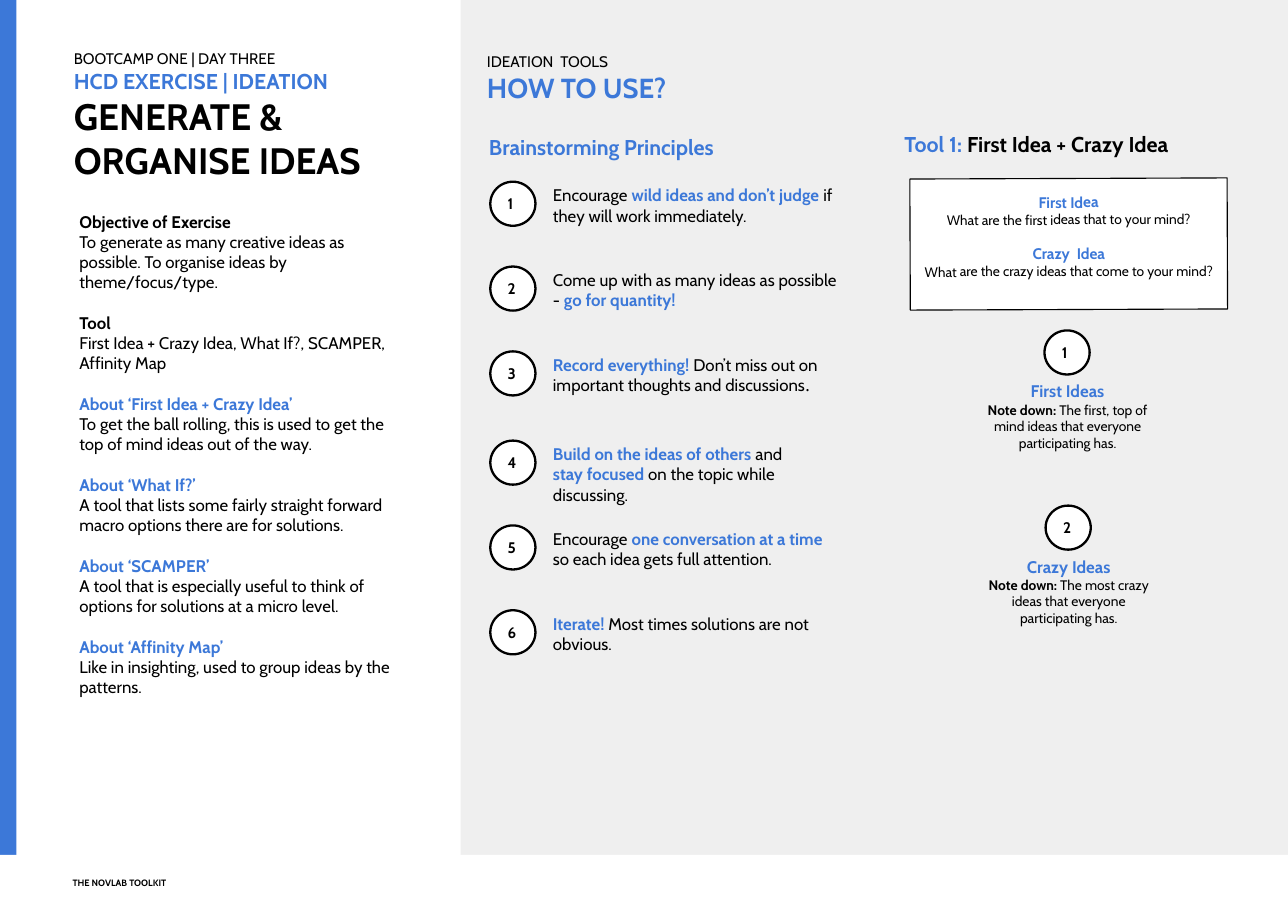
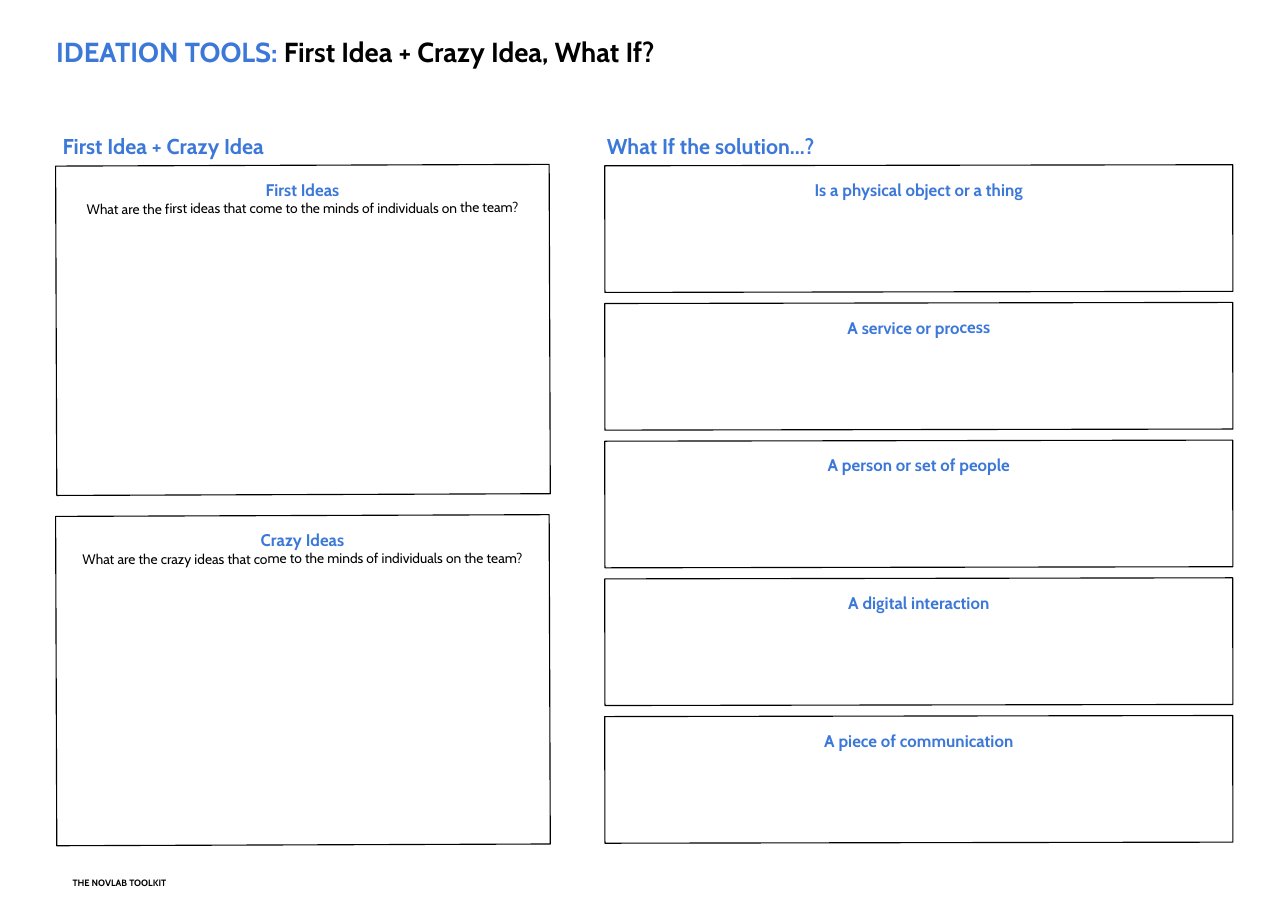
from pptx import Presentation
from pptx.dml.color import RGBColor
from pptx.enum.shapes import MSO_SHAPE
from pptx.enum.text import MSO_ANCHOR, MSO_AUTO_SIZE, PP_ALIGN
from pptx.util import Inches, Pt
from lxml import etree

RECT, OVAL = MSO_SHAPE.RECTANGLE, MSO_SHAPE.OVAL
TOP, MID, LOW = MSO_ANCHOR.TOP, MSO_ANCHOR.MIDDLE, MSO_ANCHOR.BOTTOM
LEFT, MIDDLE = PP_ALIGN.LEFT, PP_ALIGN.CENTER
FIXED = MSO_AUTO_SIZE.NONE

BLUE = RGBColor(0x3C, 0x78, 0xD8)
BLACK = RGBColor(0, 0, 0)
WHITE = RGBColor(255, 255, 255)
GREY = RGBColor(0xEF, 0xEF, 0xEF)
FONT = "Cabin"

# Grid: every place is left, top, width, height in cells of a tenth of an inch
CELL = Inches(0.1)
WIDE, HIGH = 116.9, 82.7

# Run styles; a gap is the space above the paragraph that the run opens
KEY = dict(color=BLUE, bold=True)
BOLD = dict(bold=True)
NOTE = dict(size=9)


def write(shape, paras, size=11, color=BLACK, bold=False, align=LEFT,
          anchor=TOP, inset=1.0, lead=1.0):
    """Fill a shape; a paragraph is a string or a list of strings and (text, style)."""
    frame = shape.text_frame
    frame.word_wrap, frame.auto_size = True, FIXED
    frame.vertical_anchor = anchor
    frame.margin_left = frame.margin_right = int(inset * CELL)
    frame.margin_top = frame.margin_bottom = int(inset * CELL)
    for i, para in enumerate(paras):
        line = frame.add_paragraph() if i else frame.paragraphs[0]
        line.alignment, line.line_spacing = align, lead
        line.space_before = line.space_after = Pt(0)
        for part in [para] if isinstance(para, str) else para:
            text, style = (part, {}) if isinstance(part, str) else part
            run = line.add_run()
            run.text = text
            run.font.name = style.get("font", FONT)
            run.font.size = Pt(style.get("size", size))
            run.font.bold = style.get("bold", bold)
            run.font.color.rgb = style.get("color", color)
            if "gap" in style:
                line.space_before = Pt(style["gap"])
    return shape


def draw(slide, place, kind=None, fill=None, line=None, turn=0):
    """Add a text box, or a preset shape when a kind is given."""
    box = [int(n * CELL) for n in place]
    if kind is None:
        return slide.shapes.add_textbox(*box)
    shape = slide.shapes.add_shape(kind, *box)
    shape.shadow.inherit = False
    shape.rotation = turn
    if fill is None:
        shape.fill.background()
    else:
        shape.fill.solid()
        shape.fill.fore_color.rgb = fill
    if line is None:
        shape.line.fill.background()
    else:
        shape.line.color.rgb = BLACK
        shape.line.width = Pt(line)
    return shape


deck = Presentation()
deck.slide_width, deck.slide_height = int(WIDE * CELL), int(HIGH * CELL)
guide = deck.slides.add_slide(deck.slide_layouts[1])
sheet = deck.slides.add_slide(deck.slide_layouts[5])
head, body = guide.placeholders
title = sheet.shapes.title

# Placeholders take their places on the grid
for holder, place in ((head, (5.4, 5.7, 31.2, 12.1)),
                      (body, (5.9, 17.9, 31.2, 50.7)),
                      (title, (3.8, 3.2, 92.9, 4.3))):
    (holder.left, holder.top,
     holder.width, holder.height) = [int(n * CELL) for n in place]

# Guide: background and left column
draw(guide, (41.8, 0, WIDE - 41.8, HIGH), RECT, GREY)
draw(guide, (0, 0, 1.5, HIGH), RECT, BLUE)
draw(guide, (0, 77.6, WIDE, 5.1), RECT, WHITE)
write(head, [[("BOOTCAMP ONE | DAY THREE", dict(size=10, bold=False))],
             [("HCD EXERCISE | IDEATION", dict(size=14, color=BLUE))],
             "GENERATE & ORGANISE IDEAS"],
      size=24, bold=True, anchor=LOW, inset=1.3)

topics = [
    ("Objective of Exercise", BLACK,
     "To generate as many creative ideas as possible. "
     "To organise ideas by theme/focus/type."),
    ("Tool", BLACK, "First Idea + Crazy Idea, What If?, SCAMPER, Affinity Map"),
    ("About ‘First Idea + Crazy Idea’", BLUE,
     "To get the ball rolling, this is used to get the "
     "top of mind ideas out of the way."),
    ("About ‘What If?’", BLUE,
     "A tool that lists some fairly straight forward "
     "macro options there are for solutions."),
    ("About ‘SCAMPER’", BLUE,
     "A tool that is especially useful to think of "
     "options for solutions at a micro level."),
    ("About ‘Affinity Map’", BLUE,
     "Like in insighting, used to group ideas by the patterns."),
]
paras = []
for i, (name, color, text) in enumerate(topics):
    gap = 13.3 if i else 0
    paras += [[(name, dict(color=color, bold=True, gap=gap))], text]
write(body, paras, inset=1.3)
for line in body.text_frame.paragraphs:
    props = line._p.get_or_add_pPr()
    props.set("marL", "0")
    props.set("indent", "0")
    etree.SubElement(
        props, "{http://schemas.openxmlformats.org/drawingml/2006/main}buNone")

# Guide: headings of the grey panel
write(draw(guide, (42.9, 3, 55.2, 7.7)),
      ["IDEATION  TOOLS", [("HOW TO USE?", dict(KEY, size=18))]],
      size=10, anchor=LOW, inset=1.3)
write(draw(guide, (43.4, 11.2, 31.4, 4.1)), ["Brainstorming Principles"],
      size=14, **KEY)
write(draw(guide, (81.1, 10.9, 31.4, 4.1)),
      [[("Tool 1:", KEY), " First Idea + Crazy Idea"]], size=14, bold=True)

# Guide: six principles, the lower three set a little apart
rules = [
    [["Encourage ", ("wild ideas and don’t judge", KEY),
      " if they will work immediately."]],
    [["Come up with as many ideas as possible - ", ("go for quantity!", KEY)]],
    [[("Record everything! ", KEY),
      "Don’t miss out on important thoughts and discussions",
      (".", dict(font="Noto Sans"))]],
    [[("Build on the ideas of others", KEY), " and"],
     [("stay focused", KEY), " on the topic while discussing."]],
    [["Encourage ", ("one conversation at a time", KEY),
      " so each idea gets full attention."]],
    [[("Iterate!", KEY), " Most times solutions are not obvious."]],
]
marks = []
for i, rule in enumerate(rules):
    row = 15.8 + 7.7 * i + (0.4 if i > 2 else 0)
    write(draw(guide, (49.2, row, 27.8, 6)), rule)
    marks.append((44.5, row + 0.7, i + 1))

# Guide: two steps of the tool
steps = [("First Ideas", "The first, top of mind ideas that everyone participating has."),
         ("Crazy Ideas", "The most crazy ideas that everyone participating has.")]
for i, (name, text) in enumerate(steps):
    col, row = 87.6 + 0.1 * i, 30 + 15.9 * i
    write(draw(guide, (col, row + 3.6, 18.6, 7.7)),
          [[(name, dict(KEY, size=11))], [("Note down: ", BOLD), text]],
          size=9, align=MIDDLE)
    marks.append((col + 7.2, row, i + 1))

# Guide: numbered circles
for col, row, num in marks:
    write(draw(guide, (col, row, 4.1, 4), OVAL, WHITE, 1.5), [str(num)],
          size=10, bold=True, anchor=MID)

# Guide: card with the two questions
write(draw(guide, (82.6, 16.2, 28.8, 11.9), RECT, WHITE, 0.75, 359.8),
      [[("First Idea", dict(KEY, size=10))],
       "What are the first ideas that to your mind?",
       [("Crazy  Idea", dict(KEY, size=10, gap=10.9))],
       "What are the crazy ideas that come to your mind?"],
      size=9, align=MIDDLE, inset=1.3)

# Sheet: title and column headings
write(title, [[("IDEATION TOOLS:", KEY), " First Idea + Crazy Idea, What If?"]],
      size=18, bold=True, anchor=LOW, inset=1.3)
for col, text in ((4.7, "First Idea + Crazy Idea"), (54.1, "What If the solution...?")):
    write(draw(sheet, (col, 9.9, 24.3, 4.3)), [text], size=14, lead=1.5, **KEY)

# Sheet: boxes to fill in, two on the left and five on the right
cards = []
for i, kind in enumerate(("first", "crazy")):
    ask = f"What are the {kind} ideas that come to the minds of individuals on the team?"
    cards.append(((5.1, 15 + 31.8 * i, 44.8, 29.9), 359.8,
                  [[(f"{kind.title()} Ideas", KEY)], [(ask, NOTE)]]))
forms = ["Is a physical object or a thing", "A service or process",
         "A person or set of people", "A digital interaction",
         "A piece of communication"]
for i, form in enumerate(forms):
    cards.append(((54.9, 15 + 12.5 * i, 57, 11.5), 359.9, [[(form, KEY)]]))
for place, turn, paras in cards:
    write(draw(sheet, place, RECT, None, 0.75, turn), paras,
          align=MIDDLE, inset=1.3)

# Footer on both slides
for slide in deck.slides:
    write(draw(slide, (5.6, 78.7, 46.1, 2.9)), ["THE NOVLAB TOOLKIT"],
          size=6, bold=True, anchor=LOW)

deck.save("out.pptx")
